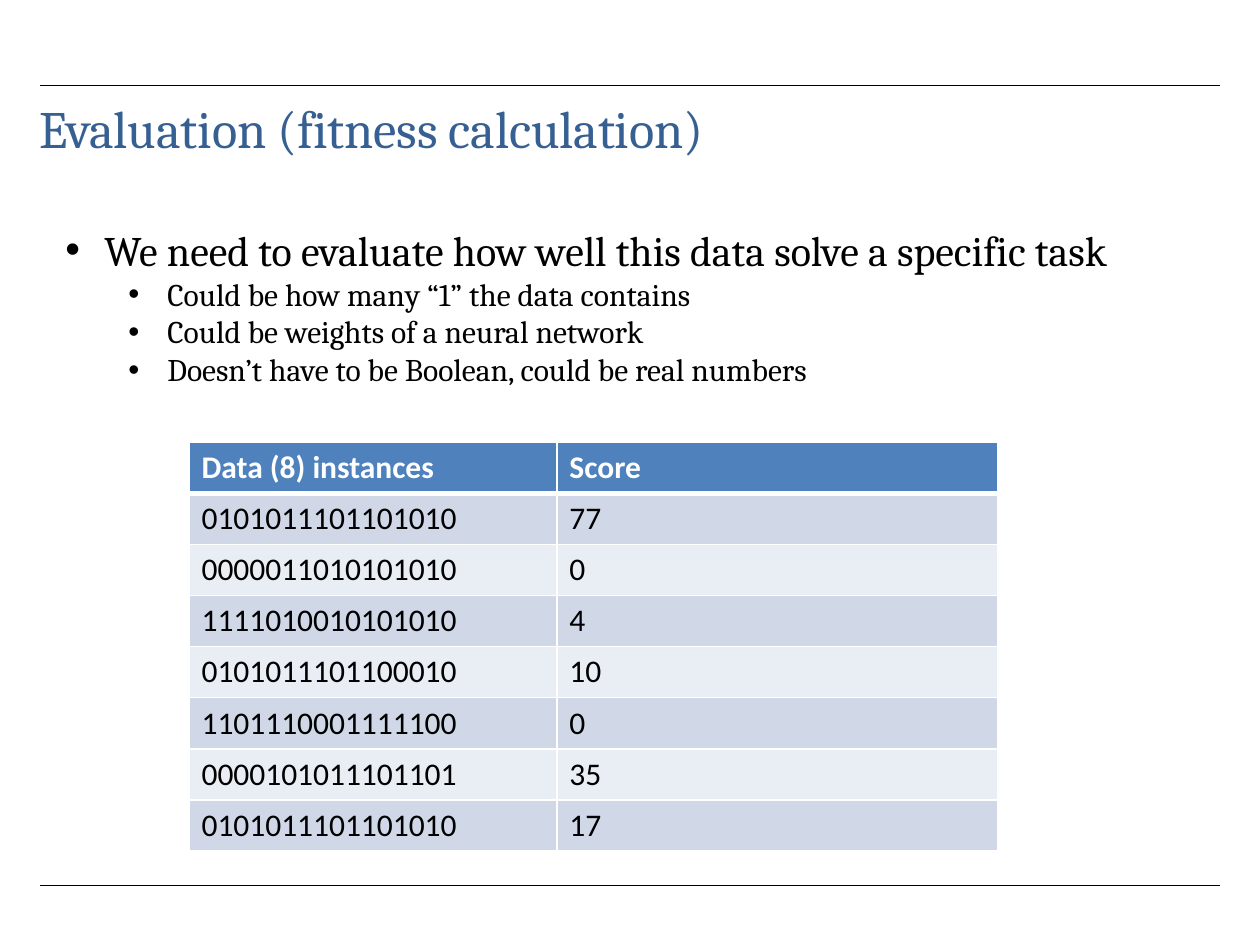
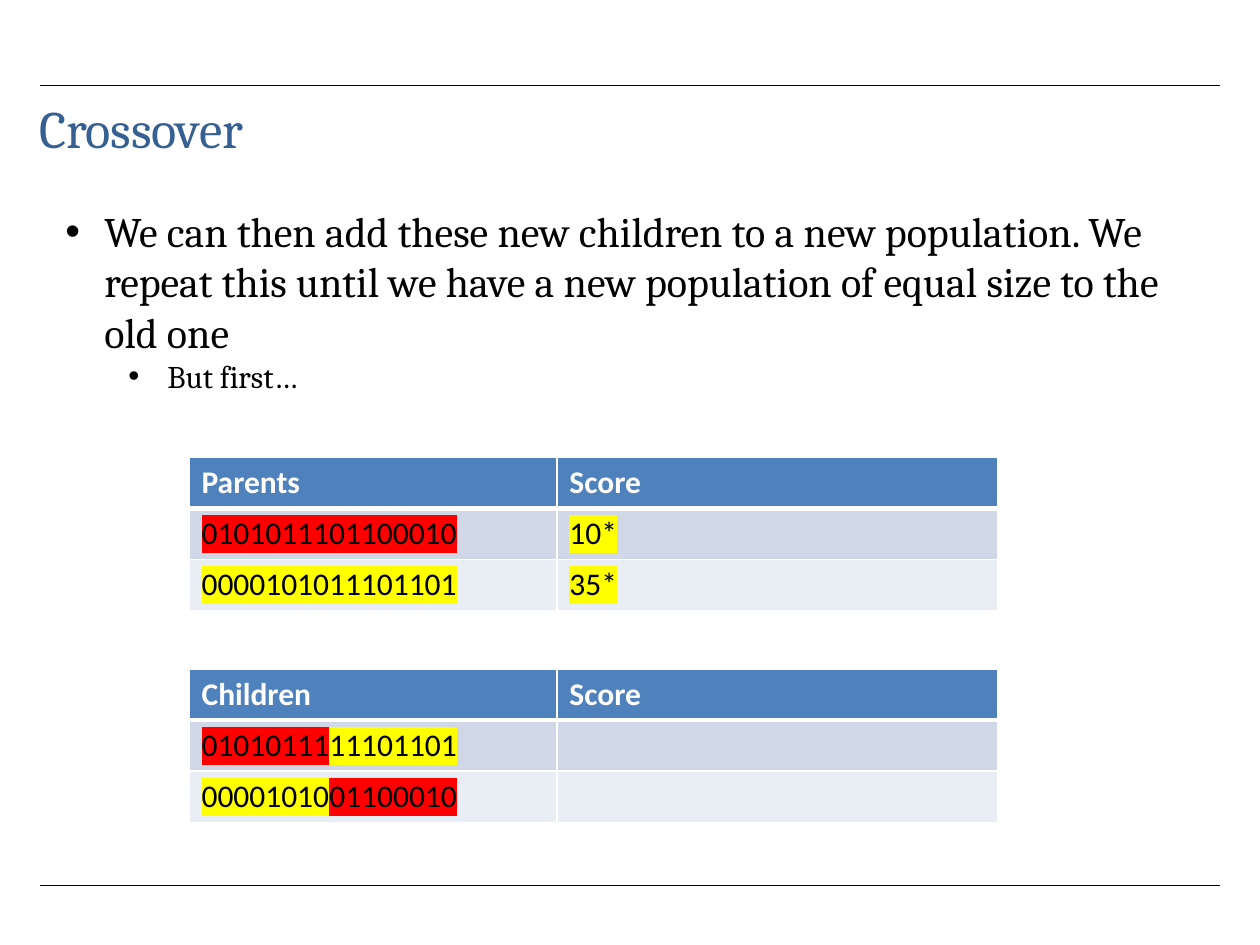
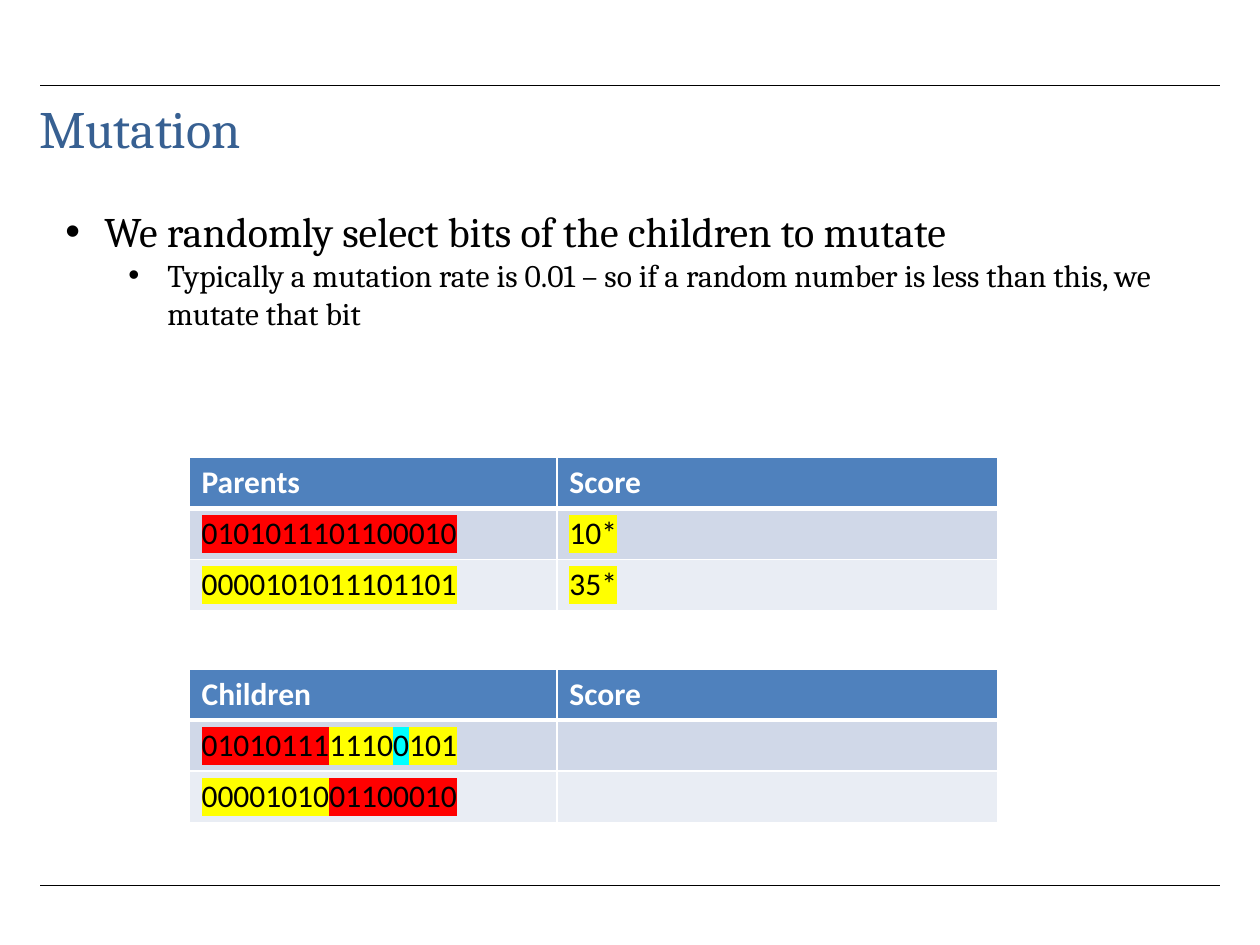
import dataclasses

import pptx
import pptx.dml.color
import pptx.enum.shapes
import pptx.oxml
import pptx.oxml.ns
import pptx.util

Pt = pptx.util.Pt
Inches = pptx.util.Inches
qn = pptx.oxml.ns.qn
NS = pptx.oxml.ns.nsdecls("a")


# Theme: colours, type and the slide size
@dataclasses.dataclass(frozen=True)
class Theme:
    wide: int = Inches(10)
    high: int = Inches(7.5)
    ink: str = "000000"
    white: str = "FFFFFF"
    title: str = "376092"
    head: str = "4F81BD"
    bands: tuple = ("D0D8E8", "E9EDF4")
    serif: str = "Cambria"
    sans: str = "Calibri"
    big: int = Pt(30)
    lead: int = Pt(24)
    text: int = Pt(18)
    row: int = Pt(29.2)


LOOK = Theme()
RED, GOLD, CYAN = "FF0000", "FFFF00", "00FFFF"
COLS = (29.2, 35)  # table columns, percent of slide width


# Basics: lengths in percent of the slide, colours, XML
def across(part):
    return round(LOOK.wide * part / 100)


def down(part):
    return round(LOOK.high * part / 100)


def tint(code):
    return pptx.dml.color.RGBColor.from_string(code)


def node(xml):
    return pptx.oxml.parse_xml(xml)


def put(thing, form):
    for key, value in form.items():
        setattr(thing, key, value)


def write(para, text, form, color, mark=None):
    run = para.add_run()
    run.text = text
    run.font.color.rgb = tint(color)
    put(run.font, form)
    if mark:
        latin = run.font._element.find(qn("a:latin"))
        latin.addprevious(node(
            f'<a:highlight {NS}><a:srgbClr val="{mark}"/></a:highlight>'))
    return run


def box(slide, left, top, width, height, form):
    frame = slide.shapes.add_textbox(
        across(left), down(top), across(width), down(height)).text_frame
    put(frame, {"word_wrap": True, **form})
    return frame


# Shared parts: two rules and the title
def rule(slide, top):
    line = slide.shapes.add_connector(
        pptx.enum.shapes.MSO_CONNECTOR.STRAIGHT,
        across(3.2), down(top), across(96.8), down(top))
    line.line.color.rgb = tint(LOOK.ink)
    line.line.width = Pt(0.25)
    line._element.spPr.append(node(f"<a:effectLst {NS}/>"))


def start(deck, title):
    slide = deck.slides.add_slide(deck.slide_layouts[6])
    for top in (93.73, 9.07):
        rule(slide, top)
    frame = box(slide, 3.1, 10, 86.1, 13.6, {
        "margin_left": 0, "margin_right": 0,
        "margin_top": Inches(0.01), "margin_bottom": 0})
    para = frame.paragraphs[0]
    para.space_before = Pt(1)
    form = {"size": LOOK.big, "name": LOOK.serif}
    run = write(para, title, form, LOOK.title)
    run.font._element.set("spc", "-10")
    return slide


# Bullets: one lead line, then smaller points
def points(slide, top, height, lead, *subs):
    frame = box(slide, 4.2, top, 92.8, height, {})
    for rank, text in enumerate((lead, *subs)):
        para = frame.add_paragraph() if rank else frame.paragraphs[0]
        para.level = 1 if rank else 0
        props = para._p.get_or_add_pPr()
        props.set("marL", str(Inches(0.81 if rank else 0.31)))
        props.set("indent", str(Inches(-0.31)))
        props.append(node(f'<a:buFont {NS} typeface="Arial"/>'))
        props.append(node(f'<a:buChar {NS} char="•"/>'))
        size = LOOK.text if rank else LOOK.lead
        write(para, text, {"size": size, "name": LOOK.serif}, LOOK.ink)


# Tables: a cell is a list of (text, highlight) pieces
def edge(cell, row):
    thick = {"T": 3 if row == 1 else 1, "B": 3 if row == 0 else 1}
    props = cell._tc.get_or_add_tcPr()
    for spot, side in enumerate("LRTB"):
        width = Pt(thick.get(side, 1))
        props.insert(spot, node(
            f'<a:ln{side} {NS} w="{width}"><a:solidFill>'
            f'<a:srgbClr val="{LOOK.white}"/></a:solidFill></a:ln{side}>'))


def grid(slide, top, head, rows):
    lines = [[[(text, None)] for text in head], *rows]
    table = slide.shapes.add_table(
        len(lines), len(COLS), across(15), down(top),
        across(sum(COLS)), LOOK.row * len(lines)).table
    for col, part in zip(table.columns, COLS):
        col.width = across(part)
    for row, line in enumerate(lines):
        table.rows[row].height = LOOK.row
        form = {"size": LOOK.text, "name": LOOK.sans, "bold": row == 0}
        color = LOOK.ink if row else LOOK.white
        for col, parts in enumerate(line):
            cell = table.cell(row, col)
            cell.fill.solid()
            cell.fill.fore_color.rgb = tint(
                LOOK.bands[(row - 1) % 2] if row else LOOK.head)
            edge(cell, row)
            for text, mark in parts:
                write(cell.text_frame.paragraphs[0], text, form, color, mark)


def family(slide, first):
    grid(slide, 48.4, ("Parents", "Score"), [
        [[("0101011101100010", RED)], [("10*", GOLD)]],
        [[("0000101011101101", GOLD)], [("35*", GOLD)]]])
    grid(slide, 70.8, ("Children", "Score"), [
        [first, []],
        [[("00001010", GOLD), ("01100010", RED)], []]])


def main():
    deck = pptx.Presentation()
    put(deck, {"slide_width": LOOK.wide, "slide_height": LOOK.high})

    # Evaluation
    slide = start(deck, "Evaluation (fitness calculation)")
    scores = (
        ("0101011101101010", "77"), ("0000011010101010", "0"),
        ("1111010010101010", "4"), ("0101011101100010", "10"),
        ("1101110001111100", "0"), ("0000101011101101", "35"),
        ("0101011101101010", "17"))
    grid(slide, 46.8, ("Data (8) instances", "Score"),
         [[[(text, None)] for text in pair] for pair in scores])
    points(slide, 23.07, 18.8,
           "We need to evaluate how well this data solve a specific task",
           "Could be how many “1” the data contains",
           "Could be weights of a neural network",
           "Doesn’t have to be Boolean, could be real numbers")

    # Crossover
    slide = start(deck, "Crossover")
    points(slide, 21.07, 21.6,
           "We can then add these new children to a new population. "
           "We repeat this until we have a new population of equal size "
           "to the old one",
           "But first…")
    family(slide, [("01010111", RED), ("11101101", GOLD)])

    # Mutation
    slide = start(deck, "Mutation")
    points(slide, 21.07, 14.8,
           "We randomly select bits of the children to mutate",
           "Typically a mutation rate is 0.01 – so if a random number is "
           "less than this, we mutate that bit")
    family(slide, [("01010111", RED), ("1110", GOLD),
                   ("0", CYAN), ("101", GOLD)])

    deck.save("out.pptx")


if __name__ == "__main__":
    main()
